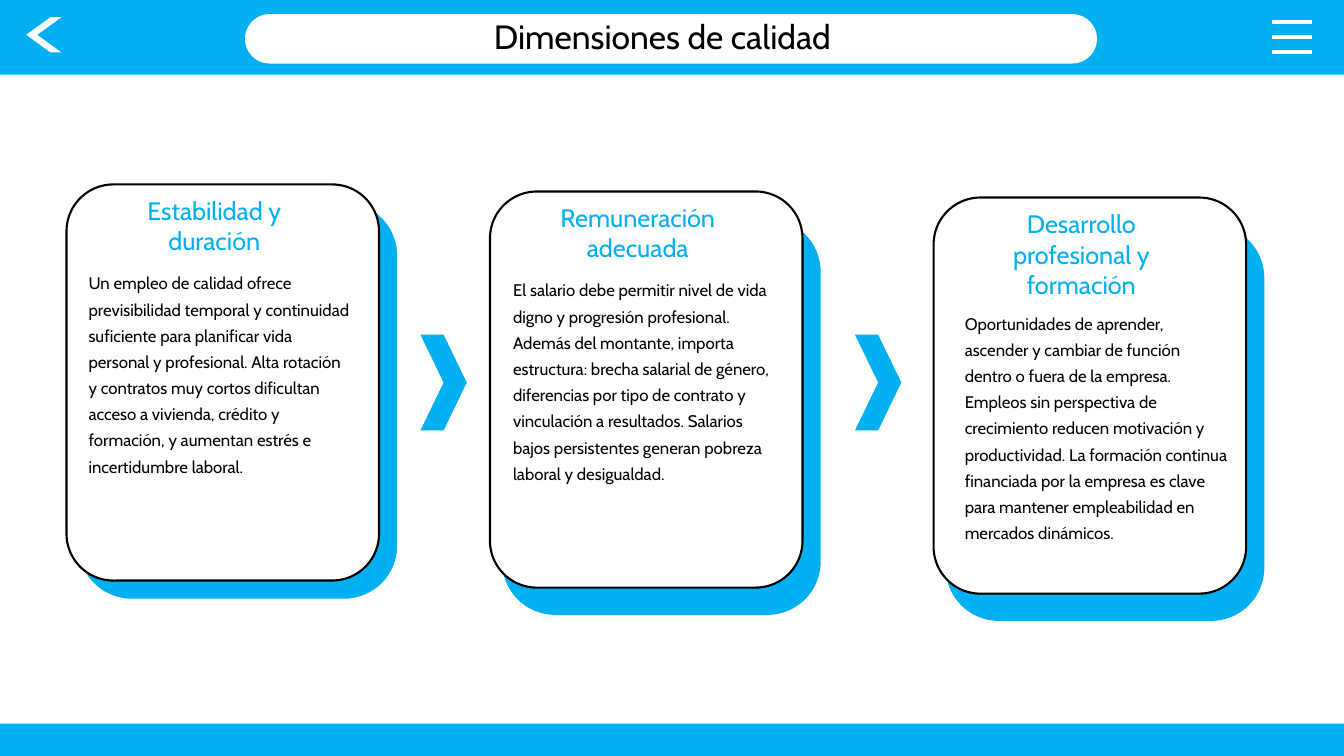
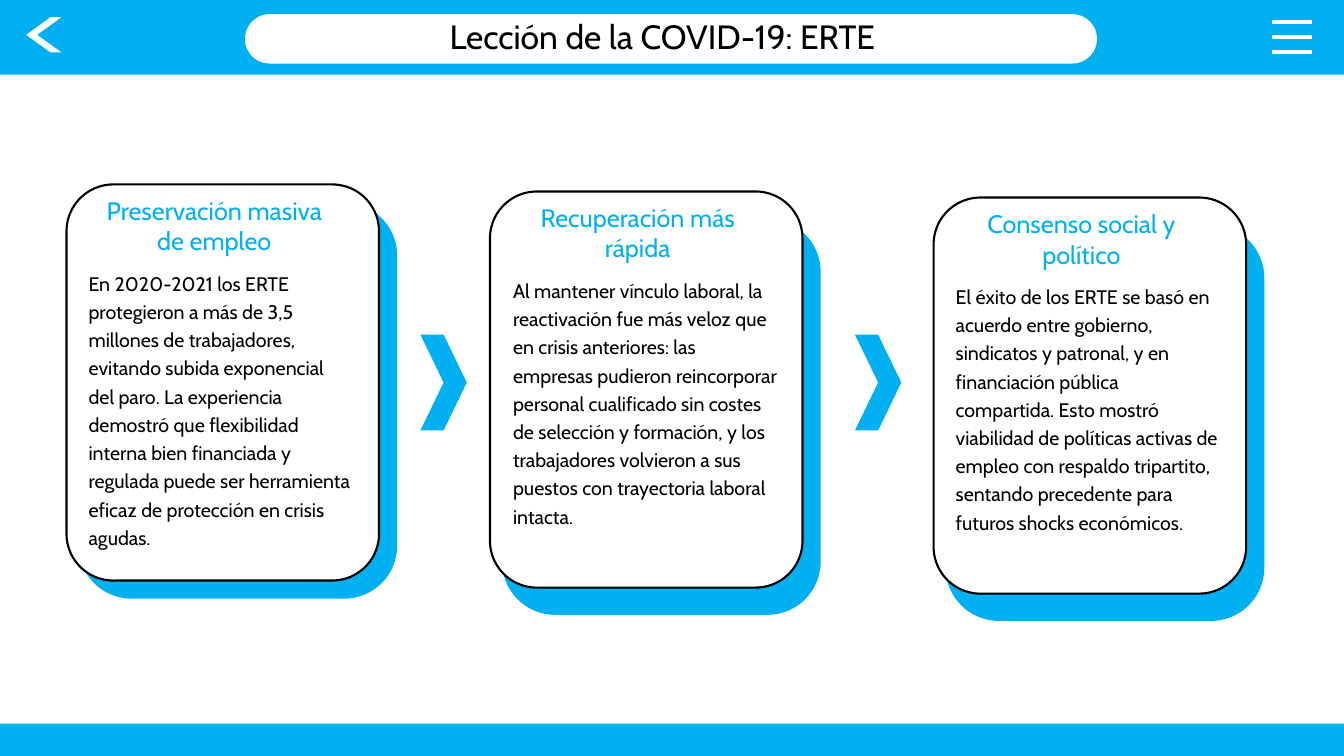
from lxml import etree
from pptx import Presentation
from pptx import util as u
from pptx.dml.color import RGBColor
from pptx.enum import shapes, text
from pptx.oxml.ns import qn

COLOURS = {"accent": "00B0F0", "paper": "FFFFFF", "ink": "000000"}
FONT = "Cabin"
CARD_SIZE = (3.1, 3.93)
SHADOW_SIZE = (3.16, 3.93)
CARD_ORIGINS = [(0.66, 1.83), (4.86, 1.9), (9.26, 1.96)]
SHADOW_DROPS = [0.18, 0.27, 0.27]
ARROW_LEFTS = [4.17, 8.48]
MENU_TOPS = [0.22, 0.37, 0.52]
TITLE_FRAME = {
    "word_wrap": True,
    "auto_size": text.MSO_AUTO_SIZE.NONE,
    "vertical_anchor": text.MSO_ANCHOR.MIDDLE,
}
CARD_FRAME = {**TITLE_FRAME, "vertical_anchor": text.MSO_ANCHOR.TOP}
CENTRED = {"alignment": text.PP_ALIGN.CENTER}

SLIDES = [
    {
        "title": "Dimensiones de calidad",
        "size": 12,
        "spacing": 1.3,
        "cards": [
            ("Estabilidad y duración",
             "Un empleo de calidad ofrece previsibilidad temporal y continuidad "
             "suficiente para planificar vida personal y profesional. Alta rotación "
             "y contratos muy cortos dificultan acceso a vivienda, crédito y "
             "formación, y aumentan estrés e incertidumbre laboral.",
             (0.12, 0.77)),
            ("Remuneración adecuada",
             "El salario debe permitir nivel de vida digno y progresión profesional. "
             "Además del montante, importa estructura: brecha salarial de género, "
             "diferencias por tipo de contrato y vinculación a resultados. Salarios "
             "bajos persistentes generan pobreza laboral y desigualdad.",
             (0.13, 0.77)),
            ("Desarrollo profesional y formación",
             "Oportunidades de aprender, ascender y cambiar de función dentro o fuera "
             "de la empresa. Empleos sin perspectiva de crecimiento reducen motivación "
             "y productividad. La formación continua financiada por la empresa es clave "
             "para mantener empleabilidad en mercados dinámicos.",
             (0.21, 1.04)),
        ],
    },
    {
        "title": "Lección de la COVID-19: ERTE",
        "size": 14,
        "spacing": 1.2,
        "cards": [
            ("Preservación masiva de empleo",
             "En 2020-2021 los ERTE protegieron a más de 3,5 millones de trabajadores, "
             "evitando subida exponencial del paro. La experiencia demostró que "
             "flexibilidad interna bien financiada y regulada puede ser herramienta "
             "eficaz de protección en crisis agudas.",
             (0.12, 0.77)),
            ("Recuperación más rápida",
             "Al mantener vínculo laboral, la reactivación fue más veloz que en crisis "
             "anteriores: las empresas pudieron reincorporar personal cualificado sin "
             "costes de selección y formación, y los trabajadores volvieron a sus "
             "puestos con trayectoria laboral intacta.",
             (0.13, 0.77)),
            ("Consenso social y político",
             "El éxito de los ERTE se basó en acuerdo entre gobierno, sindicatos y "
             "patronal, y en financiación pública compartida. Esto mostró viabilidad de "
             "políticas activas de empleo con respaldo tripartito, sentando precedente "
             "para futuros shocks económicos.",
             (0.12, 0.77)),
        ],
    },
]


def colour(name):
    """Return the named palette colour."""
    return RGBColor.from_string(COLOURS[name])


def apply(target, values):
    """Set each attribute of the target from a dict of format values."""
    for name, value in values.items():
        setattr(target, name, value)


def add_block(slide, kind, box, fill, outline=None, corner=None):
    """Add a flat filled shape with an optional outline and adjustment."""
    block = slide.shapes.add_shape(kind, *map(u.Inches, box))
    block.shadow.inherit = False
    block.fill.solid()
    block.fill.fore_color.rgb = colour(fill)
    if outline:
        block.line.color.rgb = colour(outline)
        block.line.width = u.Pt(1.5)
    else:
        block.line.fill.background()
    if corner is not None:
        block.adjustments[0] = corner
    return block


def add_menu_line(slide, top):
    """Add one white bar of the menu icon."""
    bar = slide.shapes.add_connector(
        shapes.MSO_CONNECTOR.STRAIGHT, *map(u.Inches, (12.62, top, 13.01, top)))
    bar.line.color.rgb = colour("paper")
    bar.line.width = u.Pt(3)
    etree.SubElement(bar.element.spPr, qn("a:effectLst"))


def write(frame, wording, size, ink, frame_format, paragraph_format):
    """Fill a text frame with one formatted paragraph."""
    apply(frame, frame_format)
    paragraph = frame.paragraphs[0]
    paragraph.text = wording
    apply(paragraph, paragraph_format)
    font = paragraph.runs[0].font
    apply(font, {"name": FONT, "size": u.Pt(size)})
    font.color.rgb = colour(ink)


def add_text(slide, box, *content):
    """Add a text box holding one formatted paragraph."""
    write(slide.shapes.add_textbox(*map(u.Inches, box)).text_frame, *content)


def add_frame(slide):
    """Add the bands, title pill and navigation icons."""
    kinds = shapes.MSO_SHAPE
    add_block(slide, kinds.RECTANGLE, (0, 0, 13.33, 0.74), "accent")
    add_block(slide, kinds.RECTANGLE, (0, 7.18, 13.33, 0.32), "accent")
    add_block(slide, kinds.ROUNDED_RECTANGLE, (2.43, 0.14, 8.45, 0.49), "paper", corner=0.5)
    for top in MENU_TOPS:
        add_menu_line(slide, top)
    back = add_block(slide, kinds.CHEVRON, (0.26, 0.17, 0.35, 0.35), "paper", corner=0.69)
    back.rotation = 180


def set_title(slide, wording):
    """Place the title placeholder in front of its pill."""
    title = slide.shapes.title
    apply(title, dict(zip(("left", "top", "width", "height"),
                          map(u.Inches, (2.47, 0.16, 8.2, 0.4)))))
    write(title.text_frame, wording, 24, "ink", TITLE_FRAME, CENTRED)
    slide.shapes.element.append(title.element)


def add_card(slide, origin, drop, heading, body, body_offset, size, spacing):
    """Add a rounded card with its offset shadow, heading and body."""
    left, top = origin
    rounded = shapes.MSO_SHAPE.ROUNDED_RECTANGLE
    add_block(slide, rounded, (left + 0.12, top + drop, *SHADOW_SIZE), "accent")
    add_block(slide, rounded, (left, top, *CARD_SIZE), "paper", "ink", 0.15)
    add_text(slide, (left + 0.26, top + 0.06, 2.41, 0.71),
             heading, 18, "accent", CARD_FRAME, CENTRED)
    shift, descent = body_offset
    add_text(slide, (left + shift, top + descent, 2.82, 2.87), body, size, "ink",
             CARD_FRAME, {"alignment": text.PP_ALIGN.LEFT, "line_spacing": spacing})


def main():
    """Build and save the presentation."""
    deck = Presentation()
    apply(deck, {"slide_width": u.Inches(13.33), "slide_height": u.Inches(7.5)})
    for content in SLIDES:
        slide = deck.slides.add_slide(deck.slide_layouts.get_by_name("Title Only"))
        add_frame(slide)
        set_title(slide, content["title"])
        for origin, drop, card in zip(CARD_ORIGINS, SHADOW_DROPS, content["cards"]):
            add_card(slide, origin, drop, *card, content["size"], content["spacing"])
        for left in ARROW_LEFTS:
            add_block(slide, shapes.MSO_SHAPE.CHEVRON, (left, 3.32, 0.46, 0.95), "accent")
    deck.save("out.pptx")


if __name__ == "__main__":
    main()
